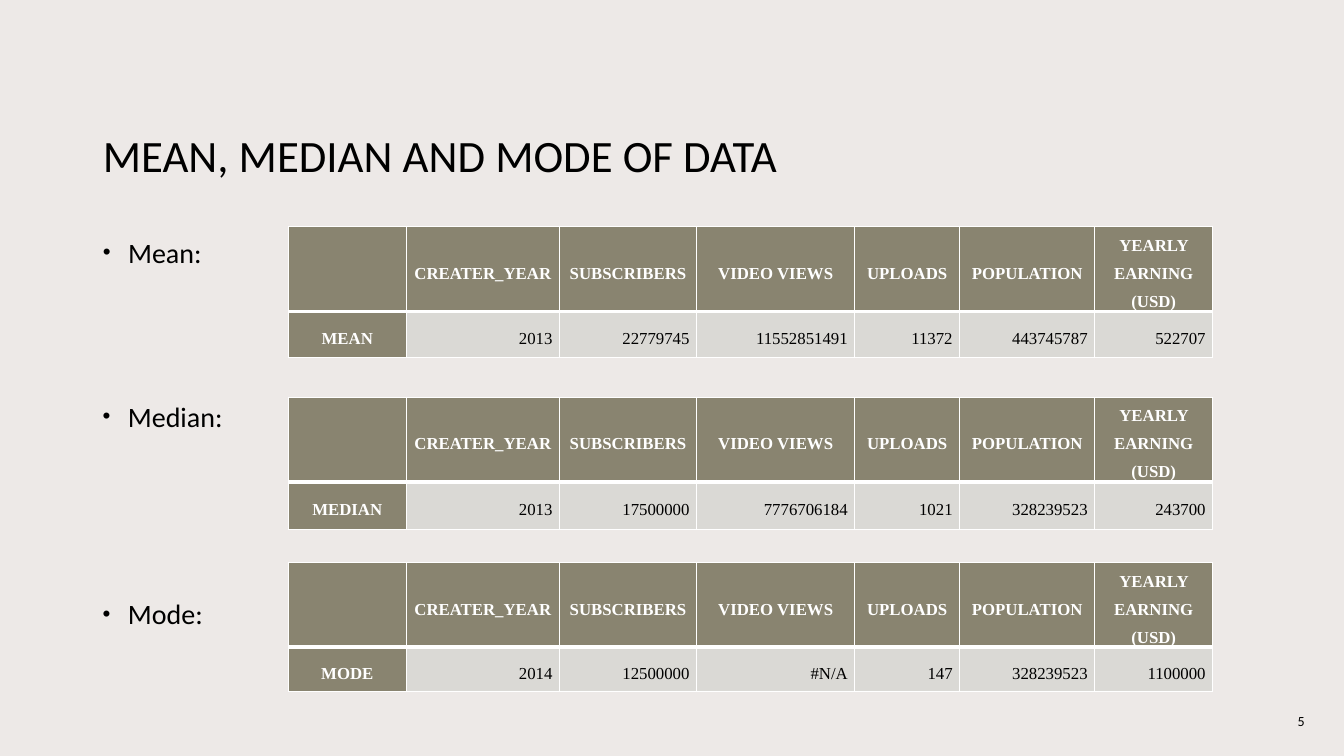
from lxml import etree
from pptx import Presentation
from pptx.dml.color import RGBColor
from pptx.enum.text import MSO_ANCHOR, MSO_AUTO_SIZE, PP_ALIGN
from pptx.oxml.ns import qn
from pptx.util import Inches, Pt

LEFT, CENTER, RIGHT = PP_ALIGN.LEFT, PP_ALIGN.CENTER, PP_ALIGN.RIGHT
MIDDLE, BOTTOM = MSO_ANCHOR.MIDDLE, MSO_ANCHOR.BOTTOM
NO_AUTOFIT = MSO_AUTO_SIZE.NONE

BLACK, WHITE = "000000", "FFFFFF"
OLIVE, PALE = "898470", "DAD9D5"

HEADINGS = ["", "CREATER_YEAR", "SUBSCRIBERS", "VIDEO VIEWS", "UPLOADS",
            "POPULATION", "YEARLY EARNING (USD)"]
COLUMN_WIDTHS = [1.17, 1.52, 1.36, 1.57, 1.04, 1.34, 1.17]
HEADER_HEIGHT = 0.84

# Label, label top, table top, value row height, values
MEASURES = [
    ("Mean", 2.25, 2.25, 0.46,
     ["2013", "22779745", "11552851491", "11372", "443745787", "522707"]),
    ("Median", 3.88, 3.94, 0.47,
     ["2013", "17500000", "7776706184", "1021", "328239523", "243700"]),
    ("Mode", 5.84, 5.58, 0.44,
     ["2014", "12500000", "#N/A", "147", "328239523", "1100000"]),
]


def color(hex_string):
    return RGBColor.from_string(hex_string)


def write(frame, text, size, font_name, hex_string, align, bold=False):
    frame.word_wrap = True
    para = frame.paragraphs[0]
    para.text = text
    para.alignment = align
    para.font.size = Pt(size)
    para.font.name = font_name
    para.font.bold = bold
    para.font.color.rgb = color(hex_string)
    return para


deck = Presentation()
deck.slide_width, deck.slide_height = Inches(13.33), Inches(7.5)
page = deck.slides.add_slide(deck.slide_layouts[1])
page.background.fill.solid()
page.background.fill.fore_color.rgb = color("EDE9E7")

# Title
title = page.shapes.title
title.left, title.top = Inches(0.92), Inches(0.64)
title.width, title.height = Inches(11.5), Inches(1.22)
title.text_frame.auto_size = NO_AUTOFIT
title.text_frame.vertical_anchor = BOTTOM
para = write(title.text_frame, "MEAN, MEDIAN AND MODE OF DATA", 32, "Calibri", BLACK, LEFT)
para.line_spacing = 0.9

for index, (name, label_top, table_top, value_height, values) in enumerate(MEASURES):
    # Bulleted label: the first one uses the body placeholder
    place = [Inches(v) for v in (0.92, label_top, 11.5, 1.22)]
    if index == 0:
        label = page.placeholders[1]
        label.left, label.top, label.width, label.height = place
    else:
        label = page.shapes.add_textbox(*place)
    label.text_frame.auto_size = NO_AUTOFIT
    para = write(label.text_frame, name + ":", 20, "Calibri", BLACK, LEFT)
    para.line_spacing = 1.1
    para.space_before = Pt(10)
    properties = para._p.get_or_add_pPr()
    properties.set("marL", str(Inches(0.25)))
    properties.set("indent", str(-Inches(0.25)))
    etree.SubElement(properties, qn("a:buSzPct"), val="80000")
    etree.SubElement(properties, qn("a:buFont"), typeface="Arial")
    etree.SubElement(properties, qn("a:buChar"), char="•")

    # Table of values
    table = page.shapes.add_table(
        2, len(HEADINGS), Inches(2.86), Inches(table_top),
        Inches(sum(COLUMN_WIDTHS)), Inches(HEADER_HEIGHT + value_height)).table
    for column, width in zip(table.columns, COLUMN_WIDTHS):
        column.width = Inches(width)
    table.rows[0].height = Inches(HEADER_HEIGHT)
    table.rows[1].height = Inches(value_height)

    for row, texts in enumerate([HEADINGS, [name.upper()] + values]):
        for col, text in enumerate(texts):
            cell = table.cell(row, col)
            is_heading = row == 0 or col == 0
            cell.vertical_anchor = MIDDLE
            cell.margin_left = cell.margin_right = Inches(0.07)
            cell.margin_top = cell.margin_bottom = 0

            # White borders, thicker under the header
            for side in ("lnL", "lnR", "lnT", "lnB"):
                weight = 3 if row == 0 and side == "lnB" else 1
                line = etree.SubElement(cell._tc.get_or_add_tcPr(), qn("a:" + side),
                                        w=str(Pt(weight)))
                solid = etree.SubElement(line, qn("a:solidFill"))
                etree.SubElement(solid, qn("a:srgbClr"), val=WHITE)
            cell.fill.solid()
            cell.fill.fore_color.rgb = color(OLIVE if is_heading else PALE)

            if text:
                para = write(cell.text_frame, text, 12, "Times New Roman",
                             WHITE if is_heading else BLACK,
                             CENTER if is_heading else RIGHT, is_heading)
                para.line_spacing = 1.5
                para.space_after = Pt(8)

# Page number
number = page.shapes.add_textbox(Inches(12.59), Inches(6.95), Inches(0.63), Inches(0.4))
number.text_frame.vertical_anchor = MIDDLE
write(number.text_frame, "5", 10, "Calibri", BLACK, CENTER)

deck.save("out.pptx")
